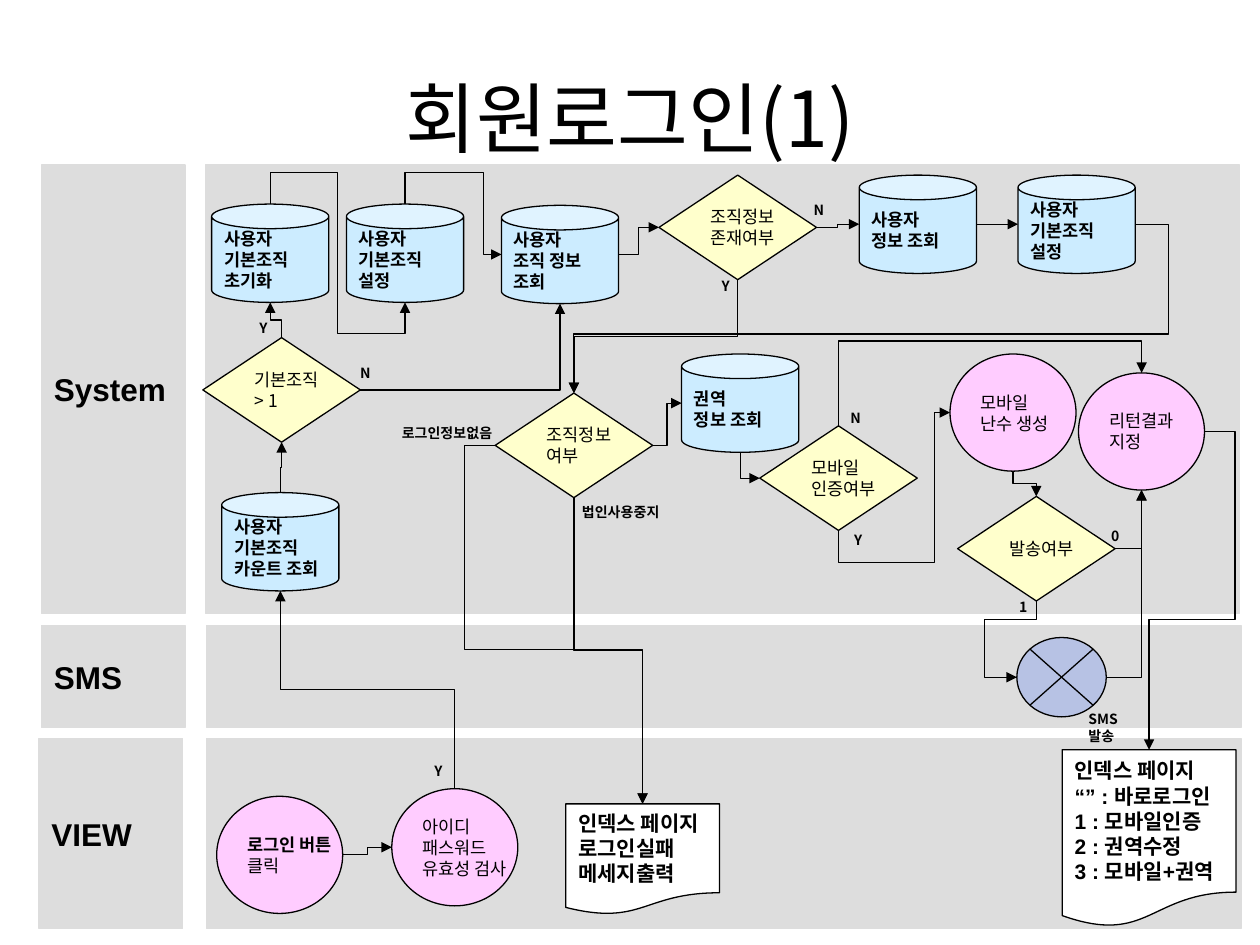
from dataclasses import dataclass

from lxml.etree import SubElement
from pptx import Presentation
from pptx.dml.color import RGBColor
from pptx.enum.shapes import MSO_CONNECTOR, MSO_SHAPE as Preset
from pptx.enum.text import MSO_ANCHOR, MSO_AUTO_SIZE, PP_ALIGN
from pptx.oxml.ns import qn
from pptx.util import Inches, Pt


@dataclass(frozen=True)
class Theme:
    ink: str = "000000"
    lane: str = "DDDDDD"
    step: str = "FFCCFF"
    store: str = "CCECFF"
    choice: str = "FFFFCC"
    paper: str = "FFFFFF"
    junction: str = "3366FF"
    latin: str = "Arial"
    korean: str = "Noto Sans CJK KR"
    title_size: int = 44
    lane_size: int = 18
    page_size: int = 12
    node_size: int = 10
    label_size: int = 8
    line: float = 0.75


@dataclass(frozen=True)
class Kind:
    """Look of a node; sites are numbered first, first + step, ... from the top, anticlockwise."""
    preset: int
    fill: str
    width: float
    height: float
    bold: bool = False
    size: int = 10
    site_first: int = 0
    site_step: int = 1


THEME = Theme()
COLUMNS, ROWS = 100, 75  # square cells, a tenth of an inch each
SIDES = ("top", "left", "bottom", "right")

STEP = Kind(Preset.OVAL, THEME.step, 10, 9.3, site_step=2)
STORE = Kind(Preset.CAN, THEME.store, 9.3, 7.8, bold=True, site_first=1)
CHOICE = Kind(Preset.DIAMOND, THEME.choice, 12.5, 8.3)
FAIL_PAGE = Kind(Preset.FLOWCHART_DOCUMENT, THEME.paper, 12.2, 8.8, True, THEME.page_size)
INDEX_PAGE = Kind(Preset.FLOWCHART_DOCUMENT, THEME.paper, 13.8, 14.1, True, THEME.page_size)
JUNCTION = Kind(Preset.FLOWCHART_SUMMING_JUNCTION, THEME.junction, 7.1, 6.3, site_step=2)

# name, label column, band column, row, height
LANES = [
    ("System", 3.3, 16.3, 13.1, 35.6),
    ("SMS", 3.3, 16.4, 49.65, 8.1),
    ("VIEW", 3.1, 16.4, 58.6, 15.1),
]

# name: kind, column, row, text
NODES = {
    "click": (STEP, 17.2, 63.2, "로그인 버튼\n클릭"),
    "validate": (STEP, 31.1, 62.6, "아이디\n패스워드\n유효성 검사"),
    "count": (STORE, 17.6, 39.1, "사용자\n기본조직\n카운트 조회"),
    "many": (CHOICE, 16.1, 26.8, "기본조직\n> 1"),
    "reset": (STORE, 16.8, 16.2, "사용자\n기본조직\n초기화"),
    "assign": (STORE, 27.5, 16.2, "사용자\n기본조직\n설정"),
    "find group": (STORE, 39.8, 16.3, "사용자\n조직 정보\n조회"),
    "group exists": (CHOICE, 52.3, 13.9, "조직정보\n존재여부"),
    "find user": (STORE, 68.2, 13.9, "사용자\n정보 조회"),
    "set group": (STORE, 80.8, 13.9, "사용자\n기본조직\n설정"),
    "group state": (CHOICE, 39.3, 31.2, "조직정보\n여부"),
    "find region": (STORE, 54.1, 28.1, "권역\n정보 조회"),
    "mobile": (CHOICE, 60.3, 33.8, "모바일\n인증여부"),
    "random": (STEP, 75.4, 28.1, "모바일\n난수 생성"),
    "result": (STEP, 85.6, 29.6, "리턴결과\n지정"),
    "sent": (CHOICE, 76, 39.4, "발송여부"),
    "sms": (JUNCTION, 80.7, 50.6, ""),
    "failure": (FAIL_PAGE, 44.9, 63.8, "인덱스 페이지\n로그인실패\n메세지출력"),
    "index": (INDEX_PAGE, 84.3, 59.5,
              "인덱스 페이지\n“” : 바로로그인\n1 : 모바일인증\n2 : 권역수정\n3 : 모바일+권역"),
}

MIDWAY = (0.5,)
CORNER = ()
# from, side, to, side, bends as shares of the way
FLOWS = [
    ("click", "right", "validate", "left", MIDWAY),
    ("validate", "top", "count", "bottom", MIDWAY),
    ("count", "top", "many", "bottom", MIDWAY),
    ("many", "top", "reset", "bottom", MIDWAY),
    ("many", "right", "find group", "bottom", CORNER),
    ("reset", "top", "assign", "bottom", (-0.32, 0.5, 1.32)),
    ("assign", "top", "find group", "left", (-0.63, 0.81)),
    ("find group", "right", "group exists", "left", MIDWAY),
    ("group exists", "right", "find user", "left", MIDWAY),
    ("group exists", "bottom", "group state", "top", MIDWAY),
    ("find user", "right", "set group", "left", MIDWAY),
    ("set group", "right", "group state", "top", (-0.06, 0.65)),
    ("group state", "left", "failure", "top", (-0.21, 0.57)),
    ("group state", "bottom", "failure", "top", MIDWAY),
    ("group state", "right", "find region", "left", MIDWAY),
    ("find region", "bottom", "mobile", "left", CORNER),
    ("mobile", "bottom", "random", "left", (-0.27, 0.86)),
    ("mobile", "top", "result", "top", (1.6,)),
    ("random", "bottom", "sent", "top", MIDWAY),
    ("sent", "right", "result", "bottom", CORNER),
    ("sent", "bottom", "sms", "left", (0.24, 2.64)),
    ("sms", "right", "result", "bottom", CORNER),
    ("result", "right", "index", "top", (-0.55, 0.59)),
]

# text, column, row, width
LABELS = [
    ("Y", 33.5, 60, 2.7), ("Y", 19.6, 24.9, 2.7), ("N", 27.6, 28.4, 2.9),
    ("Y", 56.3, 21.5, 2.7), ("N", 63.6, 15.5, 2.9), ("로그인정보없음", 30.9, 33.2, 9.9),
    ("법인사용중지", 45.2, 39.5, 8.8), ("N", 66.5, 32, 2.9), ("Y", 66.8, 41.7, 2.7),
    ("0", 87.2, 41.4, 2.7), ("1", 79.9, 47, 2.7),
]
WRAPPED_LABEL = ("SMS발송", 85.4, 55.9, 6)


def cells(*counts):
    return [Inches(count / 10) for count in counts]


def format_para(para, size, bold=False, face=THEME.korean):
    for span in para.runs:
        span.font.size, span.font.bold, span.font.name = Pt(size), bold, face
        span.font.color.rgb = RGBColor.from_string(THEME.ink)
        SubElement(span.font._element, qn("a:ea")).set("typeface", THEME.korean)


def add_box(page, preset, place, fill, line, text=""):
    box = page.shapes.add_shape(preset, *cells(*place))
    box.shadow.inherit = False
    box.fill.solid()
    box.fill.fore_color.rgb = RGBColor.from_string(fill)
    box.line.color.rgb = RGBColor.from_string(line)
    box.line.width = Pt(THEME.line)
    frame = box.text_frame
    frame.text, frame.word_wrap, frame.vertical_anchor = text, False, MSO_ANCHOR.MIDDLE
    for para in frame.paragraphs:
        para.alignment = PP_ALIGN.LEFT
    return box


def add_lane(page, name, label_column, band_column, row, height):
    add_box(page, Preset.RECTANGLE, (band_column, row, 82.1, height), THEME.lane, THEME.lane)
    label = add_box(page, Preset.RECTANGLE, (label_column, row, 11.4, height),
                    THEME.lane, THEME.lane, name)
    format_para(label.text_frame.paragraphs[0], THEME.lane_size, True, THEME.latin)


def add_node(page, kind, column, row, text):
    box = add_box(page, kind.preset, (column, row, kind.width, kind.height),
                  kind.fill, THEME.ink, text)
    for para in box.text_frame.paragraphs:
        format_para(para, kind.size, kind.bold, THEME.latin if kind.bold else THEME.korean)
    return box


def side_point(box, side):
    across = {"left": 0, "right": 1}.get(side, 0.5)
    down = {"top": 0, "bottom": 1}.get(side, 0.5)
    return box.left + box.width * across, box.top + box.height * down


def add_flow(page, boxes, source, source_side, target, target_side, bends):
    """Draw an elbow arrow whose first leg leaves the source side at a right angle."""
    x1, y1 = side_point(boxes[source], source_side)
    x2, y2 = side_point(boxes[target], target_side)
    width, height = abs(x2 - x1), abs(y2 - y1)
    rightward, upward = x2 > x1, y2 < y1
    if source_side in ("top", "bottom"):
        width, height = height, width
        turn, flip_h, flip_v = 90 if rightward == upward else 270, rightward, upward
    elif source_side == "left":
        turn, flip_h, flip_v = 180, rightward, not upward
    else:
        turn, flip_h, flip_v = 0, not rightward, upward

    arrow = page.shapes.add_connector(MSO_CONNECTOR.ELBOW, 0, 0, 1, 1)
    arrow.left, arrow.top = int((x1 + x2 - width) / 2), int((y1 + y2 - height) / 2)
    arrow.width, arrow.height, arrow.rotation = int(width), int(height), turn
    arrow.line.color.rgb = RGBColor.from_string(THEME.ink)
    arrow.line.width = Pt(THEME.line)

    element = arrow.element
    frame = element.find(".//" + qn("a:xfrm"))
    frame.set("flipH", str(int(flip_h)))
    frame.set("flipV", str(int(flip_v)))
    geometry = element.find(".//" + qn("a:prstGeom"))
    geometry.set("prst", f"bentConnector{len(bends) + 2}")
    guides = geometry.find(qn("a:avLst"))
    for number, bend in enumerate(bends, 1):
        SubElement(guides, qn("a:gd"), name=f"adj{number}", fmla=f"val {round(bend * 100000)}")
    SubElement(element.find(".//" + qn("a:ln")), qn("a:tailEnd"), type="triangle")
    SubElement(element.spPr, qn("a:effectLst"))
    joints = element.find(".//" + qn("p:cNvCxnSpPr"))
    for tag, name, side in (("a:stCxn", source, source_side), ("a:endCxn", target, target_side)):
        kind = NODES[name][0]
        site = kind.site_first + kind.site_step * SIDES.index(side)
        SubElement(joints, qn(tag), id=str(boxes[name].shape_id), idx=str(site))


def add_label(page, text, column, row, width, wrap=False):
    box = page.shapes.add_textbox(*cells(column, row, width, 2.4))
    frame = box.text_frame
    frame.text, frame.word_wrap = text, wrap
    frame.auto_size = MSO_AUTO_SIZE.SHAPE_TO_FIT_TEXT
    format_para(frame.paragraphs[0], THEME.label_size, True)


def set_title(page, text):
    title = page.shapes.title
    title.left, title.top, title.width, title.height = cells(5, 3, 90, 12.5)
    frame = title.text_frame
    frame.text, frame.vertical_anchor = text, MSO_ANCHOR.MIDDLE
    frame.paragraphs[0].alignment = PP_ALIGN.CENTER
    format_para(frame.paragraphs[0], THEME.title_size)


def main():
    deck = Presentation()
    deck.slide_width, deck.slide_height = cells(COLUMNS, ROWS)
    page = deck.slides.add_slide(deck.slide_layouts[5])
    set_title(page, "회원로그인(1)")
    for lane in LANES:
        add_lane(page, *lane)
    boxes = {name: add_node(page, *node) for name, node in NODES.items()}
    first_line = boxes["click"].text_frame.paragraphs[0].runs[0].font
    first_line.bold, first_line.name = True, THEME.latin
    tint = boxes["sms"].element.spPr.find(qn("a:solidFill"))[0]
    SubElement(tint, qn("a:alpha"), val="22000")
    for flow in FLOWS:
        add_flow(page, boxes, *flow)
    for label in LABELS:
        add_label(page, *label)
    add_label(page, *WRAPPED_LABEL, wrap=True)
    deck.save("out.pptx")


if __name__ == "__main__":
    main()
